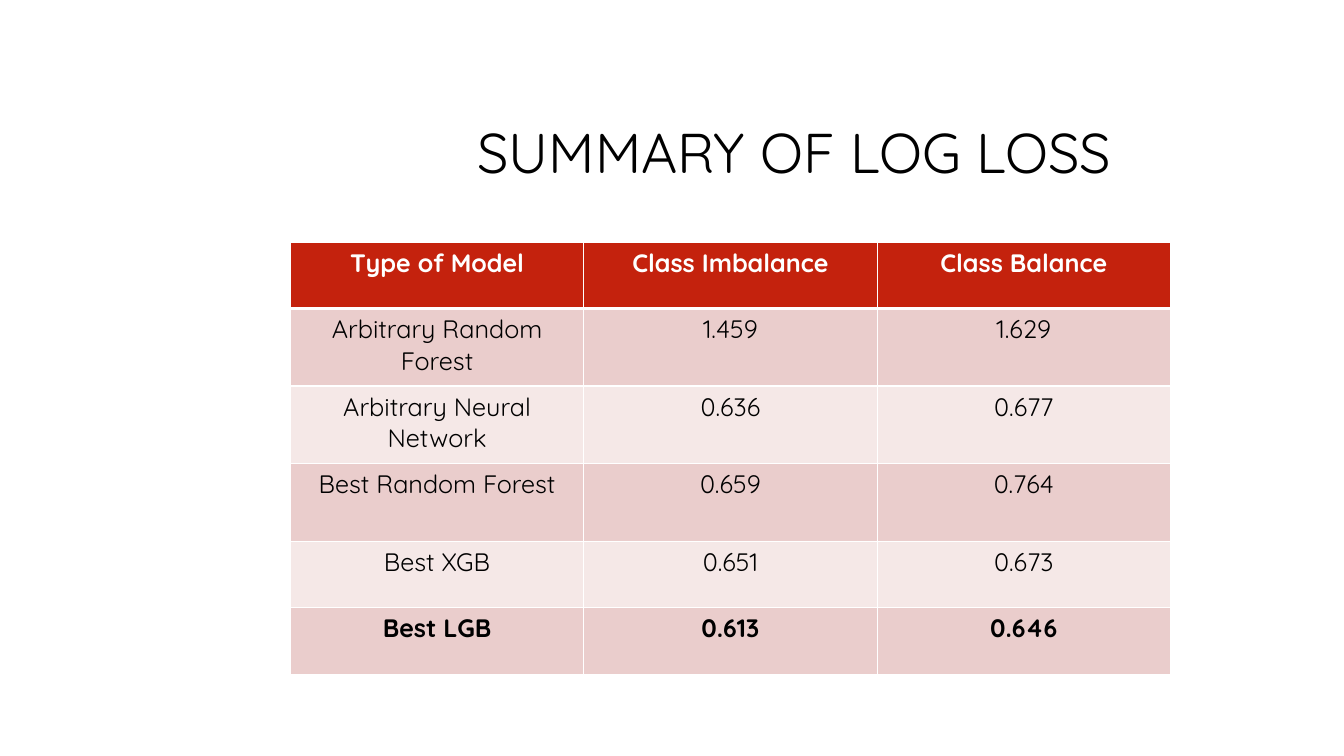
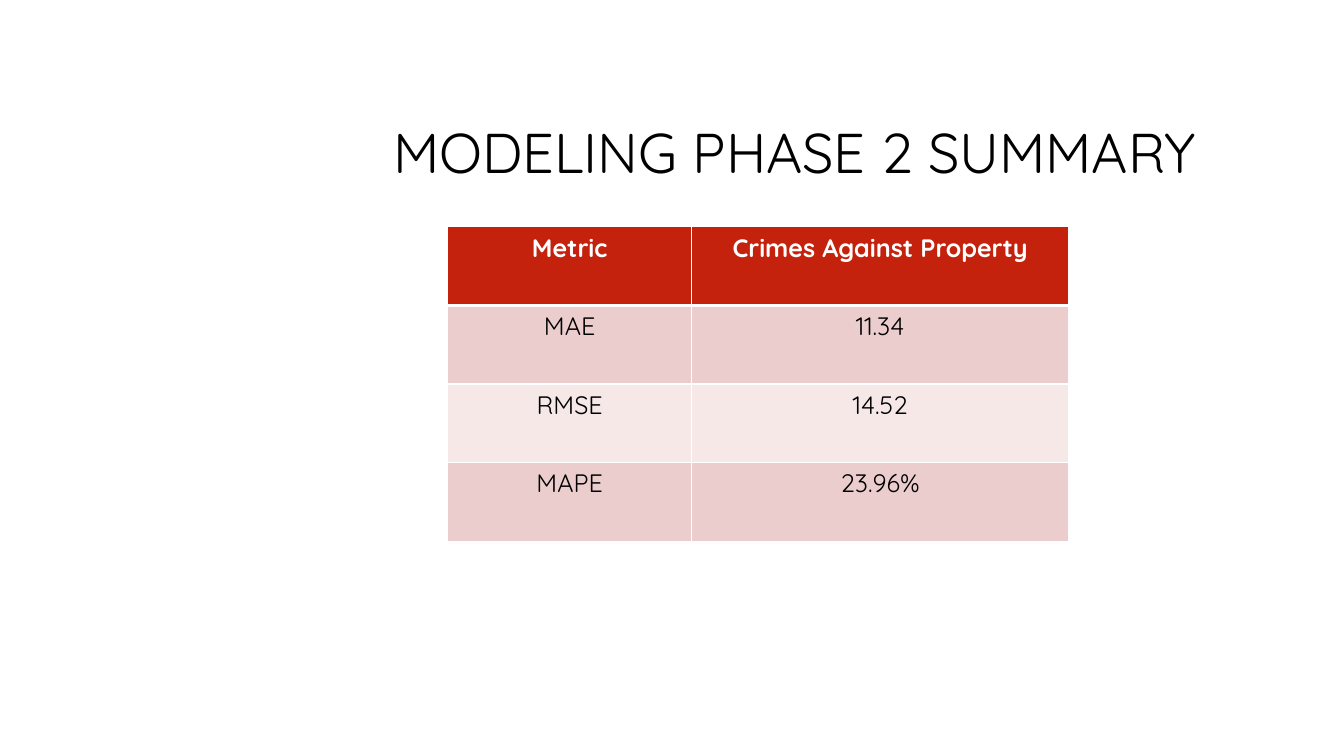
from dataclasses import dataclass

from lxml.etree import SubElement as Sub
from pptx import Presentation
from pptx.dml.color import RGBColor as RGB
from pptx.enum.text import MSO_ANCHOR as Anchor, PP_ALIGN as Align
from pptx.oxml.ns import qn
from pptx.util import Inches, Pt


@dataclass(frozen=True)
class Theme:
    font: str = "Quicksand"
    ink: str = "000000"
    paper: str = "FFFFFF"
    head: str = "C4220D"
    bands: tuple = ("EACDCC", "F5E8E7")
    title: int = 40
    body: int = 18
    thin: int = 1
    thick: int = 3


def write(frame, text, *, font, size, color, bold=False, align=Align.CENTER, space=None):
    """Put one formatted paragraph in a text frame."""
    para = frame.paragraphs[0]
    para.alignment = align
    if space:
        para.line_spacing = space
    run = para.add_run()
    run.text = text
    run.font.name = font
    run.font.size = Pt(size)
    run.font.bold = bold
    run.font.color.rgb = RGB.from_string(color)


def edge(cell, side, color, width):
    """Draw one border of a table cell."""
    props = cell._tc.get_or_add_tcPr()
    line = Sub(props, qn(f"a:ln{side}"), w=str(Pt(width)))
    fill = Sub(line, qn("a:solidFill"))
    Sub(fill, qn("a:srgbClr"), val=color)


class Deck:
    def __init__(self, theme):
        self.theme = theme
        self.file = Presentation()
        self.file.slide_width = Inches(13.33)
        self.file.slide_height = Inches(7.5)
        self.slide = None

    def page(self, title):
        """Start a slide with the shared title."""
        look = self.theme
        self.slide = self.file.slides.add_slide(self.file.slide_layouts[5])
        box = self.slide.shapes.title
        box.left, box.top = Inches(3.17), Inches(0.84)
        box.width, box.height = Inches(9.42), Inches(1.41)
        box.text_frame.vertical_anchor = Anchor.MIDDLE
        write(box.text_frame, title, font=look.font, size=look.title,
              color=look.ink, space=0.9)

    def table(self, left, top, cols, rows, data, strong=None):
        """Add a banded table; strong is the index of a bold body row."""
        frame = self.slide.shapes.add_table(
            len(rows), len(cols), Inches(left), Inches(top),
            Inches(sum(cols)), Inches(sum(rows)))
        grid = frame.table
        grid.horz_banding = False
        for col, width in zip(grid.columns, cols):
            col.width = Inches(width)
        for row, height in zip(grid.rows, rows):
            row.height = Inches(height)
        for r, line in enumerate(data):
            for c, text in enumerate(line):
                self.cell(grid.cell(r, c), text, r, bold=r in (0, strong))

    def cell(self, cell, text, row, bold):
        """Style one cell by its row: header first, then two bands."""
        look = self.theme
        head = row == 0
        # The header and the first body row share a thick rule
        above = look.thick if row == 1 else look.thin
        below = look.thick if head else look.thin
        for side, width in zip("LRTB", (look.thin, look.thin, above, below)):
            edge(cell, side, look.paper, width)
        cell.fill.solid()
        shade = look.head if head else look.bands[(row - 1) % 2]
        cell.fill.fore_color.rgb = RGB.from_string(shade)
        write(cell.text_frame, text, font=look.font, size=look.body,
              color=look.paper if head else look.ink, bold=bold)

    def save(self):
        self.file.save("out.pptx")


def main():
    deck = Deck(Theme())

    # Log loss by model
    deck.page("SUMMARY OF LOG LOSS")
    deck.table(2.88, 2.4, [2.91] * 3, [0.66] + [0.77] * 3 + [0.66] * 2, [
        ("Type of Model", "Class Imbalance", "Class Balance"),
        ("Arbitrary Random Forest", "1.459", "1.629"),
        ("Arbitrary Neural Network", "0.636", "0.677"),
        ("Best Random Forest", "0.659", "0.764"),
        ("Best XGB", "0.651", "0.673"),
        ("Best LGB", "0.613", "0.646"),
    ], strong=5)

    # Error metrics of phase 2
    deck.page("MODELING PHASE 2 SUMMARY")
    deck.table(4.44, 2.25, [2.42, 3.74], [0.78] * 4, [
        ("Metric", "Crimes Against Property"),
        ("MAE", "11.34"),
        ("RMSE", "14.52"),
        ("MAPE", "23.96%"),
    ])

    deck.save()


if __name__ == "__main__":
    main()
